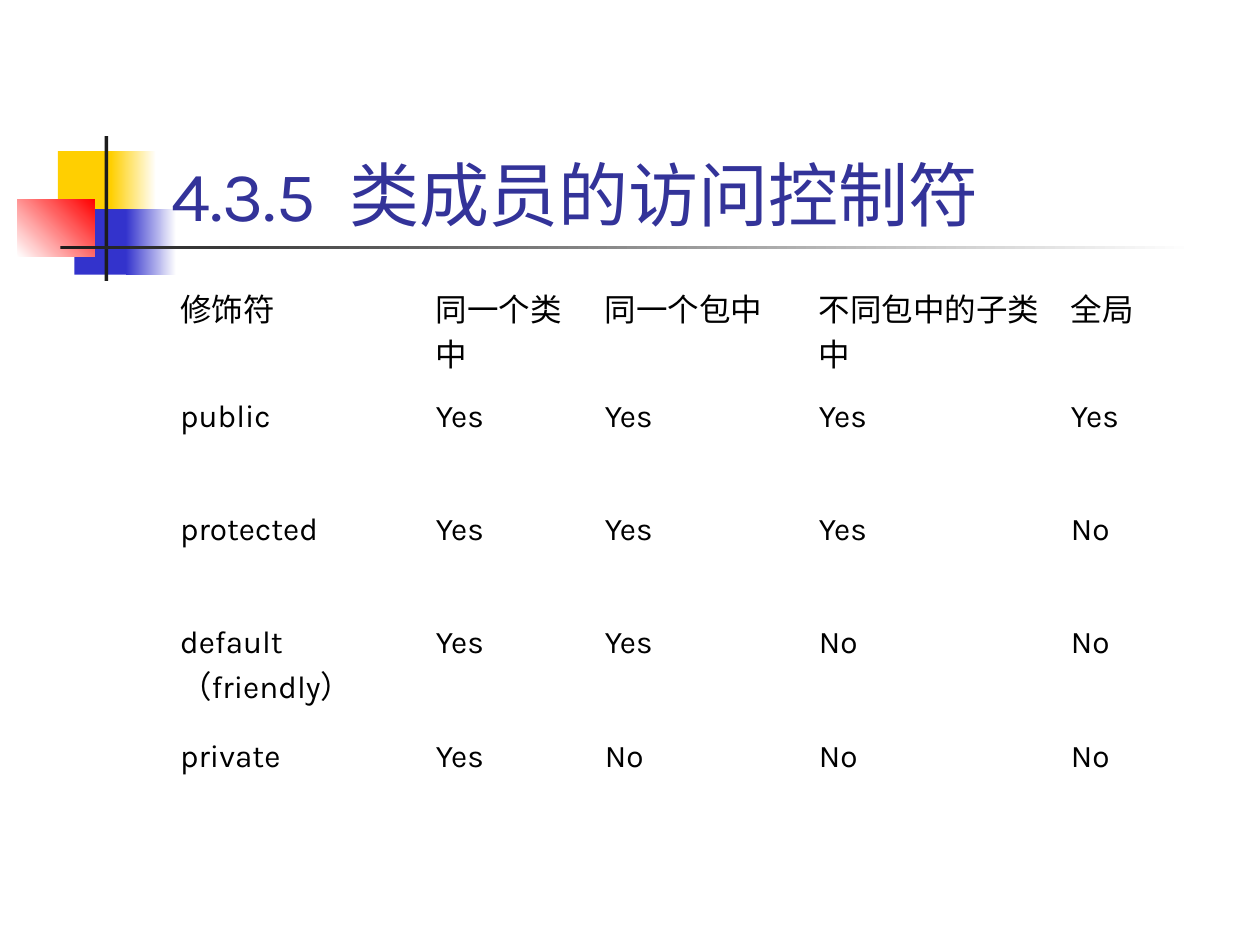
from pptx import Presentation
from pptx.dml.color import RGBColor
from pptx.enum.shapes import MSO_SHAPE
from pptx.enum.text import MSO_ANCHOR
from pptx.util import Inches, Pt

FONT = "Karla"
TITLE = "4.3.5  类成员的访问控制符"
ACCESS = [
    ("修饰符", "同一个类中", "同一个包中", "不同包中的子类中", "全局"),
    ("public", "Yes", "Yes", "Yes", "Yes"),
    ("protected", "Yes", "Yes", "Yes", "No"),
    ("default（friendly）", "Yes", "Yes", "No", "No"),
    ("private", "Yes", "No", "No", "No"),
]
COLUMN_WIDTHS = (2.03, 1.34, 1.7, 2, 1.4)
ROW_HEIGHT = 0.9
ORNAMENTS = [
    ((0.46, 1.2, 0.48, 0.52), ("FFCF01",), 0),
    ((0.88, 1.2, 0.36, 0.52), ("FFCF01", "FFFFFF"), 0),
    ((0.59, 1.66, 0.46, 0.52), ("3333CC",), 0),
    ((1, 1.66, 0.4, 0.52), ("3333CC", "FFFFFF"), 0),
    ((0.14, 1.58, 0.61, 0.46), ("FFFFFF", "FF0000"), 45),
    ((0.83, 1.08, 0.03, 1.15), ("1C1C1C",), 0),
    ((0.48, 1.95, 9, 0.03), ("1C1C1C", "FFFFFF"), 0),
]


def rgb(value):
    return RGBColor.from_string(value)


def style(paragraph, size, color):
    paragraph.font.name = FONT
    paragraph.font.size = Pt(size)
    paragraph.font.color.rgb = rgb(color)


def add_ornament(slide, box, colors, angle):
    ornament = slide.shapes.add_shape(MSO_SHAPE.RECTANGLE, *map(Inches, box))
    ornament.shadow.inherit = False
    ornament.line.fill.background()
    if len(colors) == 1:
        ornament.fill.solid()
        ornament.fill.fore_color.rgb = rgb(colors[0])
        return
    ornament.fill.gradient()
    ornament.fill.gradient_angle = angle
    for stop, color in zip(ornament.fill.gradient_stops, colors):
        stop.color.rgb = rgb(color)


def add_title(slide):
    title = slide.shapes.add_textbox(*map(Inches, (1.26, 0.67, 8.52, 1.25))).text_frame
    title.word_wrap = True
    title.vertical_anchor = MSO_ANCHOR.BOTTOM
    title.text = TITLE
    style(title.paragraphs[0], 40, "333399")


def add_access_table(slide):
    access = slide.shapes.add_table(
        len(ACCESS), len(COLUMN_WIDTHS), Inches(1.33), Inches(2.21),
        Inches(sum(COLUMN_WIDTHS)), Inches(ROW_HEIGHT * len(ACCESS))).table
    access.first_row = False
    access.horz_banding = False
    for column, width in zip(access.columns, COLUMN_WIDTHS):
        column.width = Inches(width)
    for row, entries in zip(access.rows, ACCESS):
        row.height = Inches(ROW_HEIGHT)
        for cell, entry in zip(row.cells, entries):
            cell.fill.background()
            cell.text = entry
            paragraph = cell.text_frame.paragraphs[0]
            paragraph.space_before = Pt(4.5)
            style(paragraph, 18, "000000")


def main():
    deck = Presentation()
    deck.slide_width, deck.slide_height = Inches(10), Inches(7.5)
    slide = deck.slides.add_slide(deck.slide_layouts[6])
    for box, colors, angle in ORNAMENTS:
        add_ornament(slide, box, colors, angle)
    add_title(slide)
    add_access_table(slide)
    deck.save("out.pptx")


if __name__ == "__main__":
    main()
